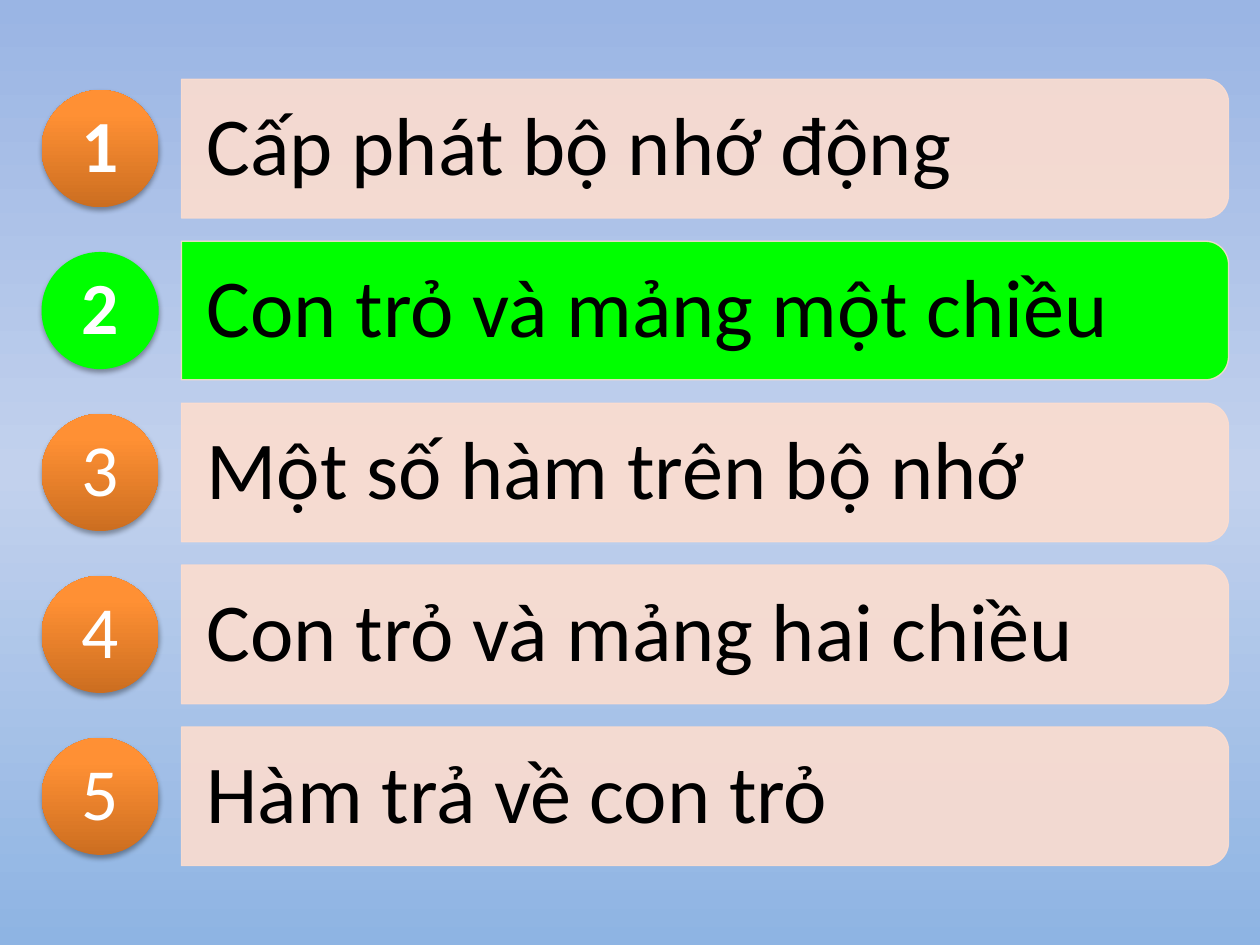
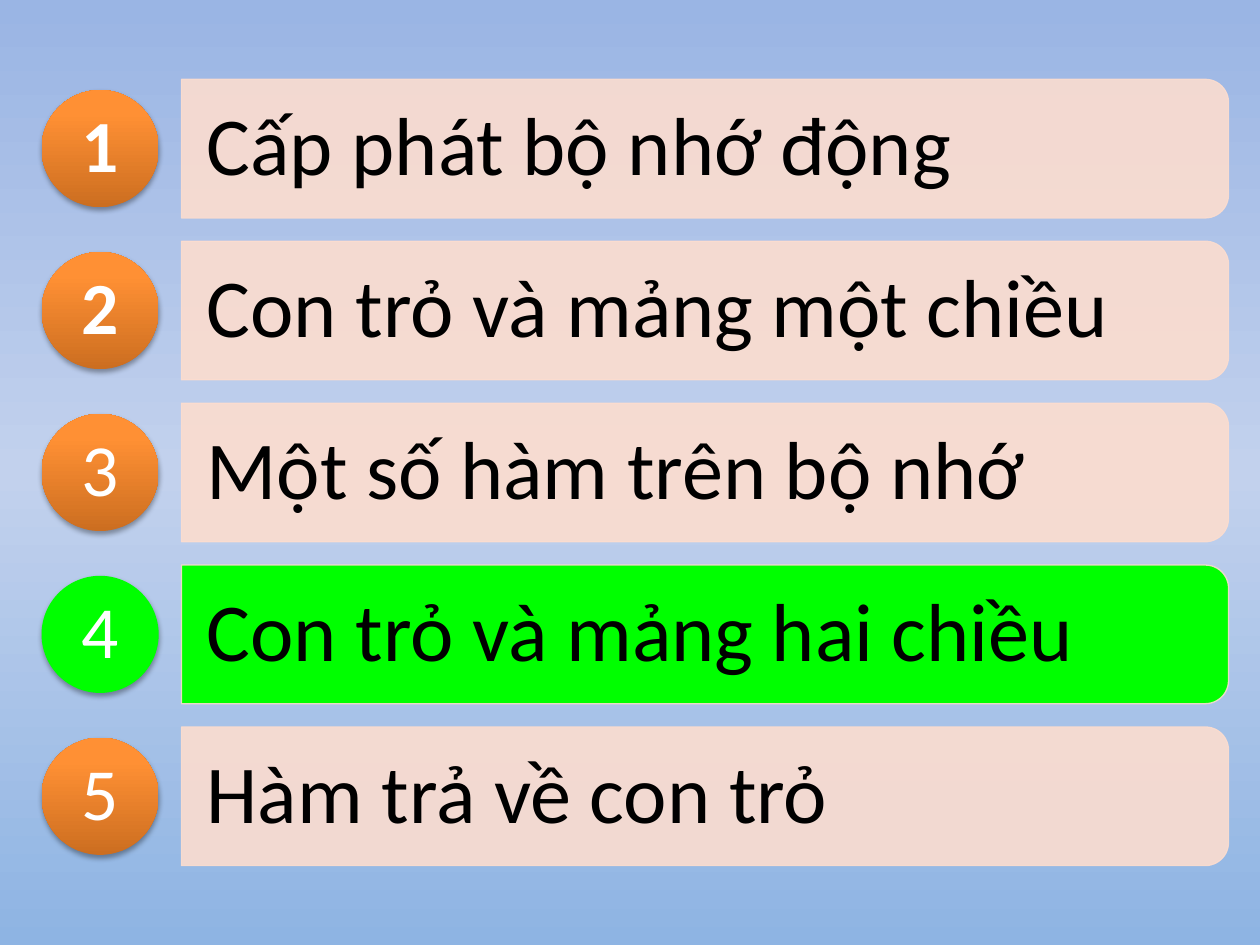
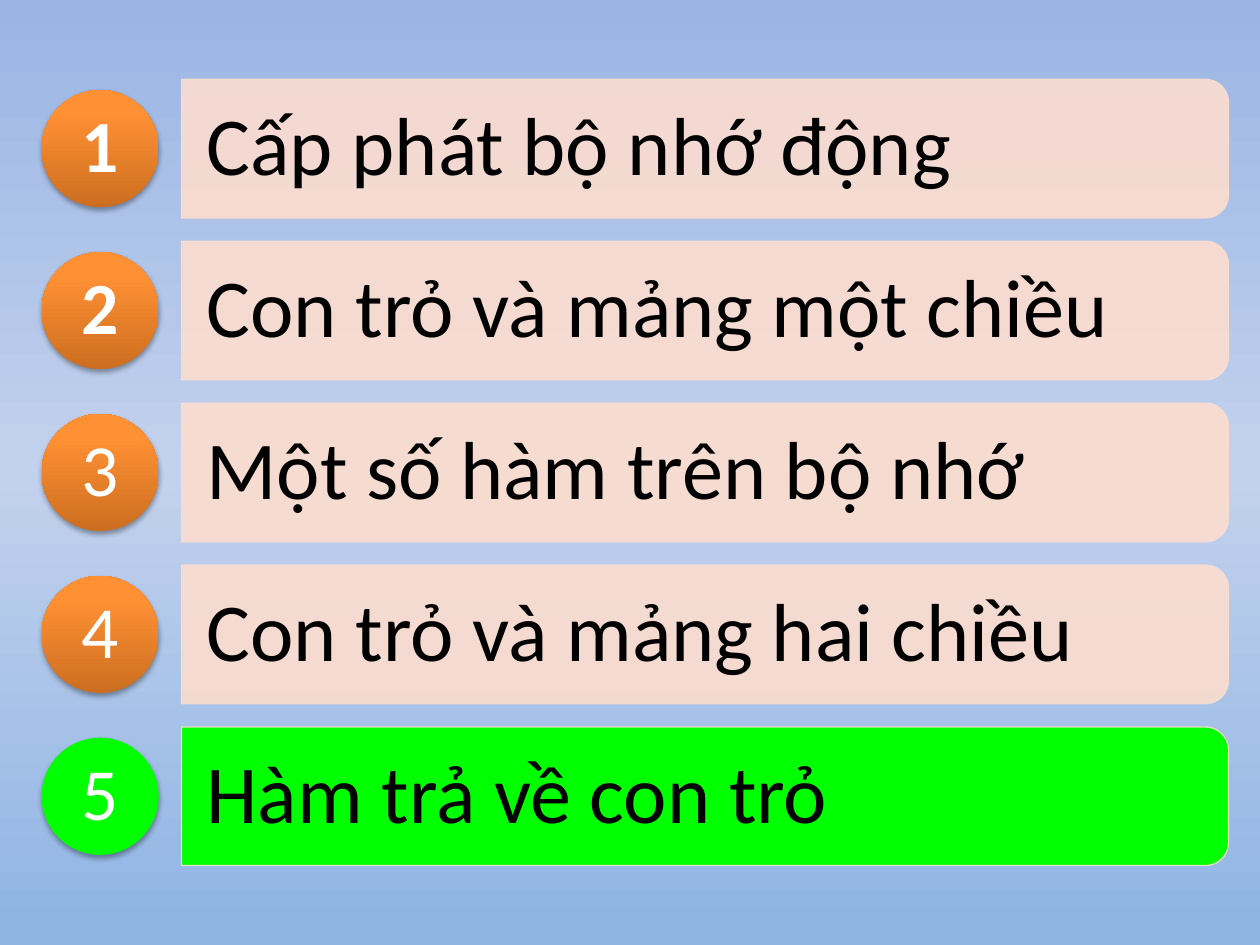
from pptx import Presentation
from pptx.dml.color import RGBColor
from pptx.enum.shapes import MSO_SHAPE as Preset
from pptx.enum.text import MSO_ANCHOR as Anchor, PP_ALIGN as Align
from pptx.oxml.ns import qn
from pptx.util import Inches, Pt
from lxml.etree import SubElement

COLOURS = {
    "bar": "FCDDCF",
    "current": "00FF00",
    "topic": "000000",
    "number": "FFFFFF",
    "shadow": "000000",
}
BACKGROUND_STOPS = [(0, "9AB5E4"), (50, "C2D1ED"), (100, "8EB4E3")]
BADGE_STOPS = [(0, "CC6E20"), (80, "FF9034"), (100, "FF9136")]
FONT = "Calibri"

TOPICS = [
    "Cấp phát bộ nhớ động",
    "Con trỏ và mảng một chiều",
    "Một số hàm trên bộ nhớ",
    "Con trỏ và mảng hai chiều",
    "Hàm trả về con trỏ",
]
BOLD_NUMBERS = (1, 2)
CURRENT_TOPICS = (2, 4, 5)

FIRST_MIDDLE, LAST_MIDDLE = 1.18, 6.32
ROW_PITCH = (LAST_MIDDLE - FIRST_MIDDLE) / (len(TOPICS) - 1)
BAR_LEFT, BAR_LENGTH, BAR_THICKNESS = 1.44, 8.31, 1.1
TOPIC_WIDTH, TOPIC_HEIGHT = 8.25, 0.99
BADGE_LEFT, BADGE_SIZE = 0.33, 0.93


def set_gradient(fill, owner, stops, angle):
    """Fill with the stops; the angle runs counter-clockwise from the right."""
    fill.gradient()
    fill.gradient_angle = angle
    stop_list = owner.find(".//" + qn("a:gsLst"))
    for old_stop in list(stop_list):
        stop_list.remove(old_stop)
    for position, colour in stops:
        stop = SubElement(stop_list, qn("a:gs"), pos=str(position * 1000))
        SubElement(stop, qn("a:srgbClr"), val=colour)


def set_solid(fill, colour):
    fill.solid()
    fill.fore_color.rgb = RGBColor.from_string(colour)


def set_opacity(colour_parent, opacity):
    SubElement(colour_parent[0], qn("a:alpha"), val=str(opacity * 1000))


class AgendaDeck:
    def __init__(self):
        self.presentation = Presentation()
        self.presentation.slide_width = Inches(10)
        self.presentation.slide_height = Inches(7.5)
        self.slide = None

    def add_slide(self):
        blank = self.presentation.slide_layouts[6]
        self.slide = self.presentation.slides.add_slide(blank)
        set_gradient(self.slide.background.fill, self.slide.element,
                     BACKGROUND_STOPS, 270)

    def add_shape(self, preset, left, top, width, height):
        shape = self.slide.shapes.add_shape(
            preset, Inches(left), Inches(top), Inches(width), Inches(height))
        shape.shadow.inherit = False
        return shape

    def add_text(self, shape, text, size, colour, align, insets, bold=False):
        frame = shape.text_frame
        frame.word_wrap = True
        frame.vertical_anchor = Anchor.MIDDLE
        frame.margin_left = frame.margin_right = Inches(insets[0])
        frame.margin_top = frame.margin_bottom = Inches(insets[1])
        paragraph = frame.paragraphs[0]
        paragraph.alignment = align
        paragraph.line_spacing = 0.9
        run = paragraph.add_run()
        run.text = text
        run.font.name = FONT
        run.font.size = Pt(size)
        run.font.bold = bold
        run.font.color.rgb = RGBColor.from_string(colour)

    def add_bar(self, middle, is_current):
        """Add an upright bar turned a quarter, so its round end points right."""
        left = BAR_LEFT + (BAR_LENGTH - BAR_THICKNESS) / 2
        bar = self.add_shape(Preset.ROUND_2_SAME_RECTANGLE, left,
                             middle - BAR_LENGTH / 2, BAR_THICKNESS, BAR_LENGTH)
        bar.rotation = 90
        set_solid(bar.fill, COLOURS["current" if is_current else "bar"])
        set_solid(bar.line.fill, COLOURS["bar"])
        bar.line.width = Pt(0.75)
        properties = bar.element.spPr
        set_opacity(properties.find(qn("a:ln")).find(qn("a:solidFill")), 90)
        if not is_current:
            set_opacity(properties.find(qn("a:solidFill")), 90)

    def add_topic(self, middle, text):
        box = self.slide.shapes.add_textbox(
            Inches(BAR_LEFT), Inches(middle - TOPIC_HEIGHT / 2),
            Inches(TOPIC_WIDTH), Inches(TOPIC_HEIGHT))
        self.add_text(box, text, 47, COLOURS["topic"], Align.LEFT, (0.2, 0.13))

    def add_badge(self, middle, number, is_current):
        badge = self.add_shape(Preset.OVAL, BADGE_LEFT, middle - BADGE_SIZE / 2,
                               BADGE_SIZE, BADGE_SIZE)
        if is_current:
            set_solid(badge.fill, COLOURS["current"])
        else:
            set_gradient(badge.fill, badge.element, BADGE_STOPS, 90)
        badge.line.fill.background()
        effects = badge.element.spPr.find(qn("a:effectLst"))
        shadow = SubElement(effects, qn("a:outerShdw"), blurRad=str(Pt(3.1)),
                            dist=str(Pt(1.8)), dir="5400000", rotWithShape="0")
        SubElement(shadow, qn("a:srgbClr"), val=COLOURS["shadow"])
        set_opacity(shadow, 35)
        self.add_text(badge, str(number), 42, COLOURS["number"], Align.CENTER,
                      (0, 0), number in BOLD_NUMBERS)

    def add_agenda(self, current):
        self.add_slide()
        for row, topic in enumerate(TOPICS):
            number = row + 1
            middle = FIRST_MIDDLE + row * ROW_PITCH
            self.add_bar(middle, number == current)
            self.add_topic(middle, topic)
            self.add_badge(middle, number, number == current)


def main():
    deck = AgendaDeck()
    for current in CURRENT_TOPICS:
        deck.add_agenda(current)
    deck.presentation.save("out.pptx")


if __name__ == "__main__":
    main()
